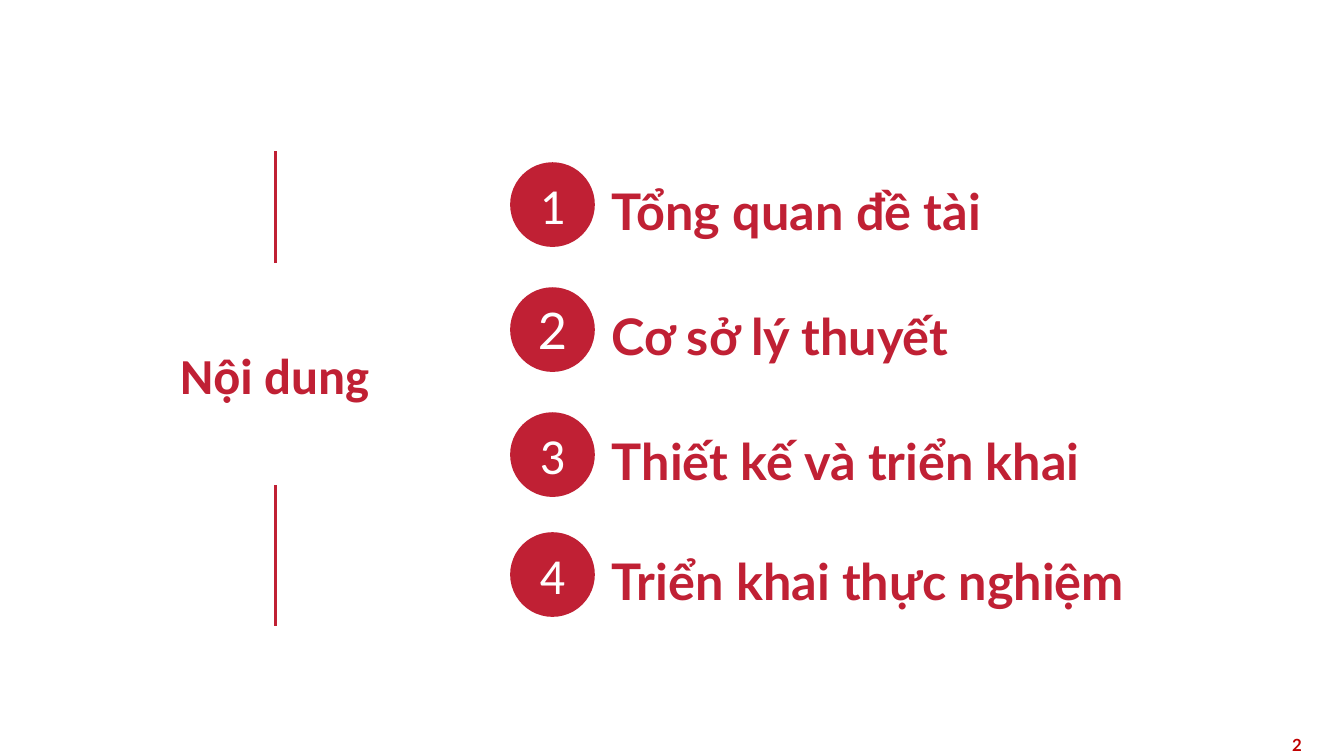
from pptx import Presentation
from pptx.dml.color import RGBColor
from pptx.enum.shapes import MSO_CONNECTOR as Connector, MSO_SHAPE as Shape
from pptx.enum.text import MSO_ANCHOR as Anchor, MSO_AUTO_SIZE as AutoSize, PP_ALIGN as Align
from pptx.oxml.ns import qn
from pptx.util import Inches, Pt
from lxml.etree import SubElement

CELL = 0.1  # inches per grid column and row
RED, DARK_RED, WHITE = "C02034", "C00000", "FFFFFF"


def color(hex_string):
    return RGBColor.from_string(hex_string)


def grid(*cells):
    """Turn columns or rows of the grid into slide lengths."""
    return [Inches(cell * CELL) for cell in cells]


class AgendaSlide:
    def __init__(self, presentation):
        self.slide = presentation.slides.add_slide(presentation.slide_layouts[5])
        self.shapes = self.slide.shapes

    def set_text(self, shape, text, align=Align.LEFT, frame_format=None, **font_format):
        """Put one styled paragraph into a shape."""
        frame = shape.text_frame
        for name, value in (frame_format or {}).items():
            setattr(frame, name, value)
        paragraph = frame.paragraphs[0]
        paragraph.alignment = align
        run = paragraph.add_run()
        run.text = text
        style = {"name": "Lato", "size": Pt(36), "bold": True, "color": RED, **font_format}
        run.font.color.rgb = color(style.pop("color"))
        for name, value in style.items():
            setattr(run.font, name, value)

    def text(self, box, text, wrap=True, anchor=Anchor.TOP, **formats):
        shape = self.shapes.add_textbox(*grid(*box))
        frame_format = {"word_wrap": wrap, "vertical_anchor": anchor}
        self.set_text(shape, text, frame_format=frame_format, **formats)

    def title(self, box, text):
        """Fill the title and lift it above the line it interrupts."""
        title = self.shapes.title
        title.left, title.top, title.width, title.height = grid(*box)
        title.fill.solid()
        title.fill.fore_color.rgb = color(WHITE)
        frame_format = {"auto_size": AutoSize.NONE, "vertical_anchor": Anchor.MIDDLE}
        self.set_text(title, text, Align.CENTER, frame_format, name="Calibri")
        title.element.getparent().append(title.element)

    def line(self, start, end):
        line = self.shapes.add_connector(Connector.STRAIGHT, *grid(*start, *end))
        line.line.color.rgb = color(RED)
        line.line.width = Pt(2.25)
        SubElement(line.element.spPr, qn("a:effectLst"))

    def badge(self, box, number, font):
        badge = self.shapes.add_shape(Shape.OVAL, *grid(*box))
        badge.shadow.inherit = False
        badge.fill.solid()
        badge.fill.fore_color.rgb = color(RED)
        badge.line.fill.background()
        frame_format = {"vertical_anchor": Anchor.MIDDLE}
        self.set_text(badge, str(number), Align.CENTER, frame_format,
                      name=font, bold=False, color=WHITE)

    def topic(self, row, number, text, width, font):
        self.badge((50.6, row, 8.4, 8.4), number, font)
        self.text((59.7, row + 1.3, width, 7.1), text, wrap=False)


def main():
    presentation = Presentation()
    presentation.slide_width, presentation.slide_height = Inches(13.33), Inches(7.5)
    agenda = AgendaSlide(presentation)

    agenda.text((100.1, 71.9, 30, 4), "2", anchor=Anchor.MIDDLE,
                align=Align.RIGHT, size=Pt(12), color=DARK_RED)
    agenda.line((27.3, 15), (27.3, 62.1))
    agenda.title((15.1, 26.1, 24.3, 22), "Nội dung")

    topics = [
        (16.1, "Tổng quan đề tài", 39.5, "Calibri"),
        (28.5, "Cơ sở lý thuyết", 36.3, "Lato"),
        (40.9, "Thiết kế và triển khai", 49.2, "Calibri"),
        (52.8, "Triển khai thực nghiệm", 53.8, "Calibri"),
    ]
    for number, (row, text, width, font) in enumerate(topics, start=1):
        agenda.topic(row, number, text, width, font)

    presentation.save("out.pptx")


if __name__ == "__main__":
    main()
